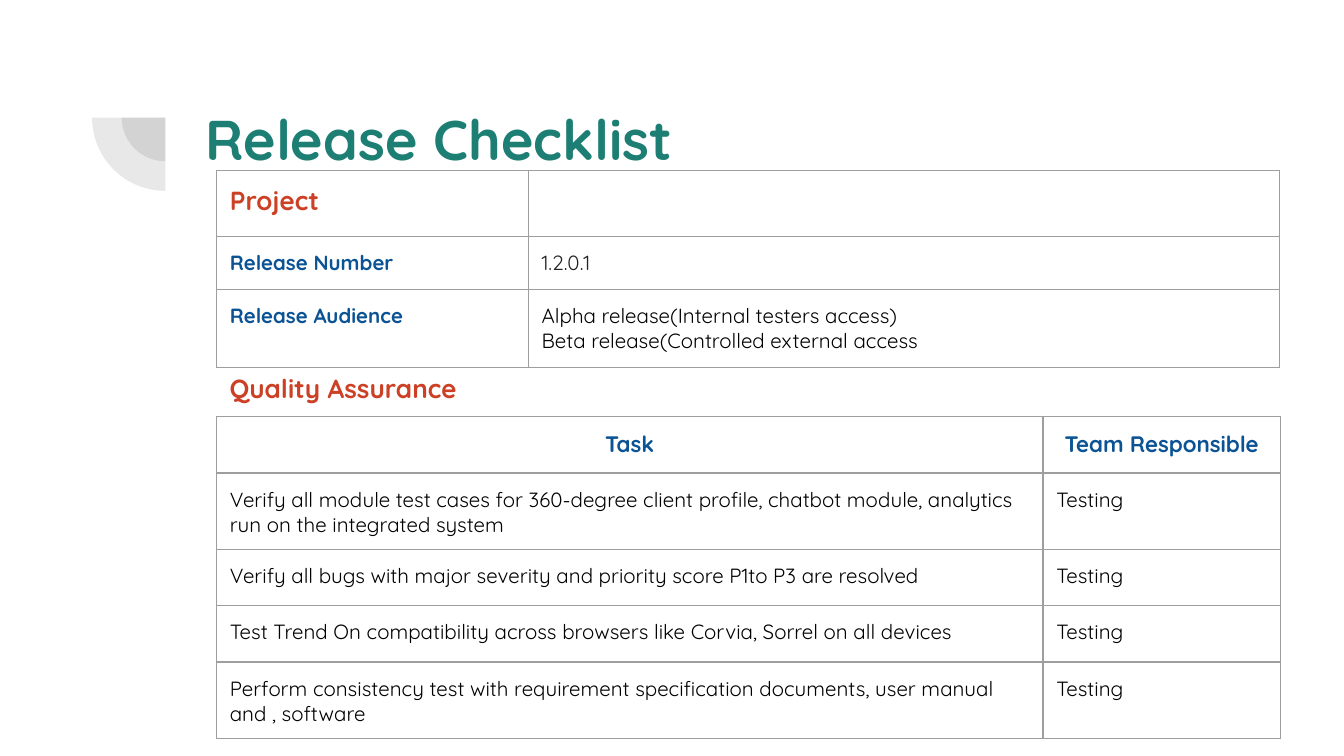
from lxml.etree import SubElement
from pptx import Presentation
from pptx.dml.color import RGBColor
from pptx.enum.shapes import MSO_SHAPE
from pptx.enum.text import MSO_ANCHOR, MSO_AUTO_SIZE, PP_ALIGN
from pptx.oxml import parse_xml
from pptx.oxml.ns import nsdecls, qn
from pptx.util import Inches, Pt

FONT = "Quicksand"
TEAL = RGBColor(0x1D, 0x7E, 0x74)
RED = RGBColor(0xCC, 0x41, 0x25)
BLUE = RGBColor(0x0B, 0x53, 0x94)
BLACK = RGBColor(0x00, 0x00, 0x00)
DARK = RGBColor(0x22, 0x22, 0x22)
CHARCOAL = RGBColor(0x42, 0x42, 0x42)
BORDER = RGBColor(0x9E, 0x9E, 0x9E)
MARGIN = Inches(0.1)


def write_text(box, frame, text, size=11, color=BLACK, bold=False, align=PP_ALIGN.LEFT):
    box.margin_left = box.margin_right = MARGIN
    box.margin_top = box.margin_bottom = MARGIN
    frame.text = text
    for paragraph in frame.paragraphs:
        paragraph.alignment = align
        for run in paragraph.runs:
            run.font.name = FONT
            run.font.size = Pt(size)
            run.font.bold = bold
            run.font.color.rgb = color
        if not paragraph.runs:
            SubElement(paragraph._p, qn("a:endParaRPr"), sz=str(size * 100))


def add_bordered_table(slide, top, widths, heights, rows):
    table = slide.shapes.add_table(
        len(heights), len(widths), Inches(1.61), Inches(top),
        Inches(sum(widths)), Inches(sum(heights)),
    ).table
    table.first_row = table.horz_banding = False
    for column, width in zip(table.columns, widths):
        column.width = Inches(width)
    for row, height, entries in zip(table.rows, heights, rows):
        row.height = Inches(height)
        for cell, (text, text_format) in zip(row.cells, entries):
            write_text(cell, cell.text_frame, text, **text_format)
            cell.fill.background()
            properties = cell._tc.get_or_add_tcPr()
            for index, side in enumerate(("lnL", "lnR", "lnT", "lnB")):
                properties.insert(index, parse_xml(
                    f'<a:{side} {nsdecls("a")} w="{Pt(0.75)}"><a:solidFill>'
                    f'<a:srgbClr val="{BORDER}"/></a:solidFill></a:{side}>'
                ))


presentation = Presentation()
presentation.slide_width = Inches(10)
presentation.slide_height = Inches(10) * 9 // 16
slide = presentation.slides.add_slide(presentation.slide_layouts[5])

for diameter in (0.65, 1.09):
    pie = slide.shapes.add_shape(
        MSO_SHAPE.PIE, Inches(1.23 - diameter / 2), Inches(0.875 - diameter / 2),
        Inches(diameter), Inches(diameter),
    )
    pie.adjustments[0] = 107.93
    pie.adjustments[1] = 162
    pie.rotation = 270
    pie.shadow.inherit = False
    pie.fill.solid()
    pie.fill.fore_color.rgb = CHARCOAL
    color_element = pie.element.spPr.find(qn("a:solidFill"))[0]
    SubElement(color_element, qn("a:alpha"), val="12000")
    pie.line.fill.background()

title = slide.shapes.title
title.left, title.top = Inches(1.43), Inches(0.68)
title.width, title.height = Inches(7.69), Inches(0.66)
title_frame = title.text_frame
write_text(title_frame, title_frame, "Release Checklist", size=30, color=TEAL, bold=True)
title_frame.word_wrap = True
title_frame.auto_size = MSO_AUTO_SIZE.NONE
title_frame.vertical_anchor = MSO_ANCHOR.TOP

section_format = {"size": 14, "color": RED, "bold": True}
label_format = {"color": BLUE, "bold": True}
header_format = {"size": 12, "color": BLUE, "bold": True, "align": PP_ALIGN.CENTER}

add_bordered_table(slide, 1.27, (2.32, 5.59), (0.43, 0.39, 0.57), [
    [("Project", section_format), ("", {"size": 17})],
    [("Release Number", label_format), ("1.2.0.1", {"color": DARK})],
    [("Release Audience", label_format),
     ("Alpha release(Internal testers access)\nBeta release(Controlled external access", {})],
])

section = slide.shapes.add_textbox(Inches(1.61), Inches(2.67), Inches(2.4), Inches(0.36))
section_frame = section.text_frame
write_text(section_frame, section_frame, "Quality Assurance", **section_format)
section_frame.word_wrap = True

tasks = [
    "Verify all module test cases for 360-degree client profile, chatbot module, "
    "analytics run on the integrated system",
    "Verify all bugs with major severity and priority score P1to P3 are resolved",
    "Test Trend On compatibility across browsers like Corvia, Sorrel on all devices",
    "Perform consistency test with requirement specification documents, user manual "
    "and , software",
]
task_rows = [[("Task", header_format), ("Team Responsible", header_format)]]
task_rows += [[(task, {}), ("Testing", {})] for task in tasks]
add_bordered_table(slide, 3.1, (6.15, 1.77), [0.42] * len(task_rows), task_rows)

presentation.save("out.pptx")
